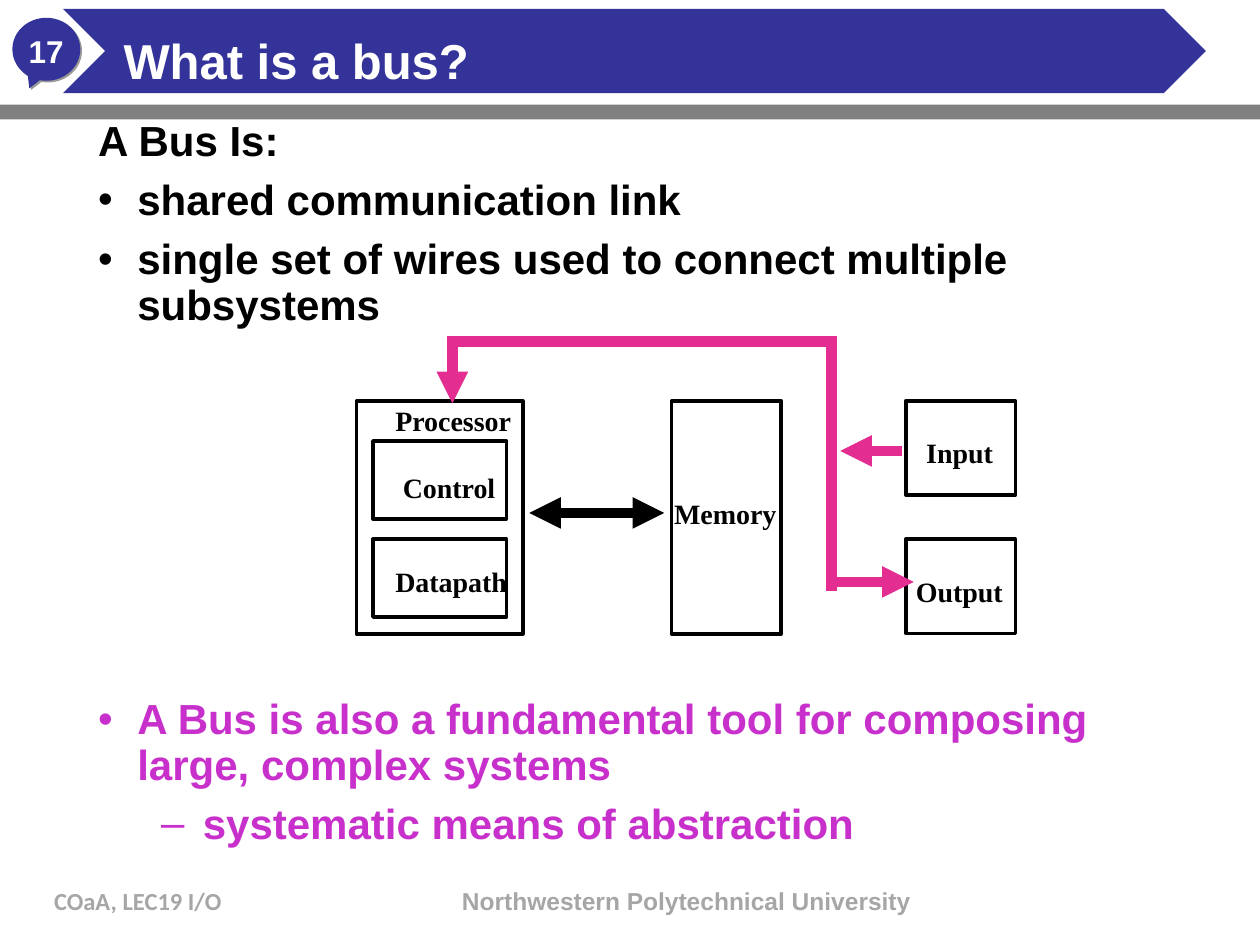
from dataclasses import dataclass

from lxml import etree
from pptx import Presentation
from pptx.dml.color import RGBColor
from pptx.enum.shapes import MSO_CONNECTOR, MSO_SHAPE
from pptx.enum.text import MSO_ANCHOR, PP_ALIGN
from pptx.oxml.ns import qn
from pptx.util import Cm, Pt

LEFT, MID = PP_ALIGN.LEFT, PP_ALIGN.CENTER
TOP = MSO_ANCHOR.TOP
RECT, CHEVRON = MSO_SHAPE.RECTANGLE, MSO_SHAPE.CHEVRON
BUBBLE = MSO_SHAPE.OVAL_CALLOUT
STRAIGHT = MSO_CONNECTOR.STRAIGHT


@dataclass(frozen=True)
class Theme:
    """Colours, fonts and type sizes of the slide."""
    navy: str = "333399"
    gray: str = "808080"
    pale: str = "A6A6A6"
    shade: str = "999999"
    black: str = "000000"
    white: str = "FFFFFF"
    pink: str = "E32D91"
    violet: str = "C830CC"
    sans: str = "Arial"
    serif: str = "Times New Roman"
    foot: str = "Calibri"
    head_size: int = 28
    body_size: int = 24
    page_size: int = 18
    label_size: int = 16
    foot_size: int = 14


THEME = Theme()

BOXES = [
    ("Control", (7.52, 8.89, 2.69, 1.57), (7.87, 9.35, 2.39), LEFT),
    ("Datapath", (7.52, 10.87, 2.69, 1.57), (7.72, 11.25, 2.77), LEFT),
    ("Memory", (13.54, 8.08, 2.21, 4.7), (13.34, 9.88, 2.57), LEFT),
    ("Processor", (7.19, 8.08, 3.35, 4.7), (7.72, 8, 2.87), LEFT),
    ("Input", (18.26, 8.08, 2.21, 1.9), (18.42, 8.66, 1.85), MID),
    ("Output", (18.26, 10.87, 2.21, 1.9), (18.21, 11.46, 2.26), MID),
]

LINKS = [
    ((10.67, 10.34, 13.39, 10.34), THEME.black, ("headEnd", "tailEnd")),
    ((9.22, 6.88, 16.66, 6.88), THEME.pink, ()),
    ((9.12, 8.13, 9.12, 6.78), THEME.pink, ("headEnd",)),
    ((16.94, 9.09, 18.19, 9.09), THEME.pink, ("headEnd",)),
    ((18.42, 11.73, 16.74, 11.73), THEME.pink, ("headEnd",)),
    ((16.76, 11.91, 16.76, 6.78), THEME.pink, ()),
]

POINTS = [
    ("A Bus Is:", "", 0, THEME.black),
    ("shared communication link", "•", 8, THEME.black),
    ("single set of wires used to connect multiple subsystems", "•", 8,
     THEME.black),
    ("A Bus is also a fundamental tool for composing large, complex systems",
     "•", 211, THEME.violet),
    ("systematic means of abstraction", "–", 8, THEME.violet),
]


def add_run(para, text, size, color, face=THEME.sans):
    """Add one bold run to a paragraph."""
    run = para.add_run()
    run.text = text
    font = run.font
    font.name, font.size, font.bold = face, Pt(size), True
    font.color.rgb = RGBColor.from_string(color)


def set_frame(frame, inset, wrap=True):
    """Set the insets, wrapping and anchor of a text frame."""
    frame.word_wrap = wrap
    frame.vertical_anchor = TOP
    frame.margin_left = frame.margin_right = Cm(inset[0])
    frame.margin_top = frame.margin_bottom = Cm(inset[1])


def add_text(shapes, place, text, size, color, face=THEME.sans,
             align=MID, inset=(0.25, 0.13), wrap=False):
    """Add a text box that holds one run."""
    frame = shapes.add_textbox(*map(Cm, place)).text_frame
    set_frame(frame, inset, wrap)
    para = frame.paragraphs[0]
    para.alignment = align
    add_run(para, text, size, color, face)


def add_block(shapes, kind, place, fill=None):
    """Add a filled shape, or an outlined one when no fill is given."""
    shape = shapes.add_shape(kind, *map(Cm, place))
    shape.shadow.inherit = False
    if fill:
        shape.fill.solid()
        shape.fill.fore_color.rgb = RGBColor.from_string(fill)
        shape.line.fill.background()
    else:
        shape.fill.background()
        shape.line.color.rgb = RGBColor.from_string(THEME.black)
        shape.line.width = Pt(2)
    return shape


def add_shadow(shape):
    """Give a shape a hard shadow to its lower right."""
    effect = shape.element.spPr.find(qn("a:effectLst"))
    outer = etree.SubElement(effect, qn("a:outerShdw"), blurRad="0",
                             dist=str(Pt(1.4)), dir="2700000")
    etree.SubElement(outer, qn("a:srgbClr"), val=THEME.shade)


def add_link(shapes, ends, color, tips):
    """Add a thick line with triangle heads at the named ends."""
    link = shapes.add_connector(STRAIGHT, *map(Cm, ends))
    link.line.color.rgb = RGBColor.from_string(color)
    link.line.width = Pt(6)
    props = link.element.spPr
    for tip in tips:
        etree.SubElement(props.find(qn("a:ln")), qn("a:" + tip),
                         type="triangle")
    etree.SubElement(props, qn("a:effectLst"))


def add_header(slide):
    """Add the banner, the page bubble and the title."""
    shapes = slide.shapes
    bubble = add_block(shapes, BUBBLE, (0.25, 0.36, 1.37, 1.27), THEME.navy)
    bubble.adjustments[0], bubble.adjustments[1] = -0.25, 0.62
    add_shadow(bubble)
    add_block(shapes, RECT, (0, 2.11, 25.4, 0.3), THEME.gray)
    add_block(shapes, CHEVRON, (1.27, 0.18, 23.04, 1.7), THEME.navy)
    add_text(shapes, (0.41, 0.51, 1.04, 1.02), "17", THEME.page_size,
             THEME.white, inset=(0.13, 0.13))
    title = shapes.title
    title.left, title.top, title.width, title.height = map(
        Cm, (2.41, 0.66, 17.04, 1.02))
    set_frame(title.text_frame, (0.08, 0.08))
    para = title.text_frame.paragraphs[0]
    para.alignment, para.line_spacing = LEFT, 0.9
    add_run(para, "What is a bus?", THEME.head_size, THEME.white)
    title.element.getparent().append(title.element)


def add_points(shapes):
    """Add the bullet text above and below the diagram."""
    frame = shapes.add_textbox(*map(Cm, (1.9, 2.34, 21.79, 14.96))).text_frame
    set_frame(frame, (0.08, 0.08))
    for i, (text, mark, gap, color) in enumerate(POINTS):
        para = frame.add_paragraph() if i else frame.paragraphs[0]
        deep = mark == "–"
        para.level = int(deep)
        props = para._p.get_or_add_pPr()
        props.set("marL", str(Cm(2.11 if deep else 0.79)))
        props.set("indent", str(Cm(-0.84 if deep else -0.79)))
        if mark:
            etree.SubElement(props, qn("a:buFont"), typeface=THEME.sans)
            etree.SubElement(props, qn("a:buChar"), char=mark)
        para.line_spacing, para.space_before = 0.9, Pt(gap)
        add_run(para, text, THEME.body_size, color)


def add_diagram(shapes):
    """Add the grouped drawing of the parts and the bus between them."""
    group = shapes.add_group_shape().shapes
    for name, place, spot, align in BOXES:
        add_block(group, RECT, place)
        add_text(group, (*spot, 0.91), name, THEME.label_size, THEME.black,
                 THEME.serif, align)
    for link in LINKS:
        add_link(group, *link)


def add_footer(shapes):
    """Add the course and school lines at the foot."""
    add_text(shapes, (0.84, 17.73, 5.28, 1.27), "COaA, LEC19 I/O",
             THEME.foot_size, THEME.pale, THEME.foot, LEFT, wrap=True)
    add_text(shapes, (8.86, 17.73, 9.96, 1.27),
             "Northwestern Polytechnical University",
             THEME.foot_size, THEME.pale, wrap=True)


def main():
    """Build the slide and save it."""
    deck = Presentation()
    deck.slide_width, deck.slide_height = Cm(25.4), Cm(19.05)
    slide = deck.slides.add_slide(deck.slide_layouts[5])
    add_header(slide)
    add_footer(slide.shapes)
    add_points(slide.shapes)
    add_diagram(slide.shapes)
    deck.save("out.pptx")


if __name__ == "__main__":
    main()
